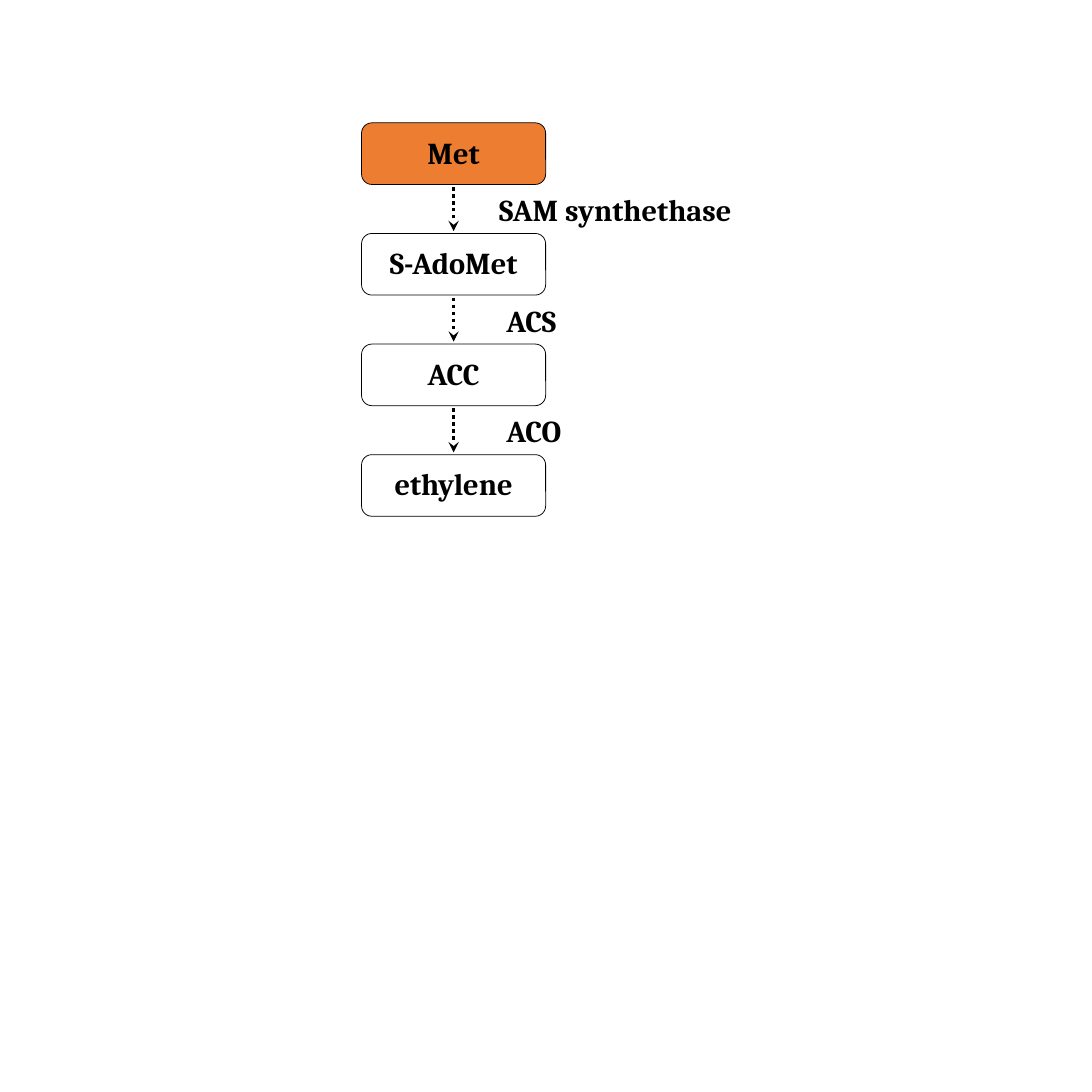
from pptx import Presentation
from pptx.dml.color import RGBColor
from pptx.enum.dml import MSO_LINE
from pptx.enum.shapes import MSO_CONNECTOR, MSO_SHAPE
from pptx.enum.text import MSO_ANCHOR, PP_ALIGN
from pptx.oxml.ns import qn
from pptx.util import Pt
from lxml import etree

ROUNDED_BOX = MSO_SHAPE.FLOWCHART_ALTERNATE_PROCESS
STRAIGHT = MSO_CONNECTOR.STRAIGHT
DOTTED = MSO_LINE.ROUND_DOT
CENTER = PP_ALIGN.CENTER
LEFT = PP_ALIGN.LEFT
MIDDLE = MSO_ANCHOR.MIDDLE

SLIDE_SIZE = 1417.68
BLANK_LAYOUT = 6
FONT = "Cambria"
FONT_SIZE = 39.4
BLACK = "000000"
ORANGE = "ED7D31"

BOX_LEFT, BOX_WIDTH, BOX_HEIGHT = 469.4, 239, 80
FIRST_TOP, STEP = 159.5, 143.6
ARROW_OFFSET, ARROW_LENGTH = 83.5, 57
LABEL_OFFSET, LABEL_WIDTH, LABEL_HEIGHT = 85.5, 355.7, 54.7

COMPOUNDS = [("Met", ORANGE), ("S-AdoMet", None), ("ACC", None), ("ethylene", None)]
ENZYMES = [("SAM synthethase", 640.8), ("ACS", 650.2), ("ACO", 650.2)]


def color(hex_string):
    """Turn a hex string into a colour."""
    return RGBColor.from_string(hex_string)


def write_text(shape, text, alignment):
    """Put one bold line of text into a shape."""
    text_frame = shape.text_frame
    text_frame.text = text
    text_frame.word_wrap = True
    paragraph = text_frame.paragraphs[0]
    paragraph.alignment = alignment
    font = paragraph.runs[0].font
    font.name = FONT
    font.size = Pt(FONT_SIZE)
    font.bold = True
    font.color.rgb = color(BLACK)


def add_compound(slide, text, top, fill):
    """Add a rounded box that names a compound."""
    shape = slide.shapes.add_shape(
        ROUNDED_BOX, Pt(BOX_LEFT), Pt(top), Pt(BOX_WIDTH), Pt(BOX_HEIGHT)
    )
    shape.shadow.inherit = False
    if fill:
        shape.fill.solid()
        shape.fill.fore_color.rgb = color(fill)
    else:
        shape.fill.background()
    shape.line.color.rgb = color(BLACK)
    shape.line.width = Pt(1)
    write_text(shape, text, CENTER)
    shape.text_frame.vertical_anchor = MIDDLE
    shape.text_frame.margin_bottom = Pt(8)


def add_arrow(slide, top):
    """Add a dotted arrow that points down to the next compound."""
    x = Pt(BOX_LEFT + BOX_WIDTH / 2)
    connector = slide.shapes.add_connector(
        STRAIGHT, x, Pt(top), x, Pt(top + ARROW_LENGTH)
    )
    connector.line.color.rgb = color(BLACK)
    connector.line.width = Pt(4.5)
    connector.line.dash_style = DOTTED
    properties = connector._element.spPr
    etree.SubElement(properties.find(qn("a:ln")), qn("a:tailEnd"), type="stealth")
    etree.SubElement(properties, qn("a:effectLst"))


def add_enzyme(slide, text, left, top):
    """Add the enzyme label beside an arrow."""
    label = slide.shapes.add_textbox(
        Pt(left), Pt(top), Pt(LABEL_WIDTH), Pt(LABEL_HEIGHT)
    )
    write_text(label, text, LEFT)


def main():
    """Build the ethylene pathway slide."""
    presentation = Presentation()
    presentation.slide_width = Pt(SLIDE_SIZE)
    presentation.slide_height = Pt(SLIDE_SIZE)
    slide = presentation.slides.add_slide(presentation.slide_layouts[BLANK_LAYOUT])
    for index, (text, fill) in enumerate(COMPOUNDS):
        add_compound(slide, text, FIRST_TOP + index * STEP, fill)
    for index, (text, left) in enumerate(ENZYMES):
        top = FIRST_TOP + index * STEP
        add_arrow(slide, top + ARROW_OFFSET)
        add_enzyme(slide, text, left, top + LABEL_OFFSET)
    presentation.save("out.pptx")


if __name__ == "__main__":
    main()
